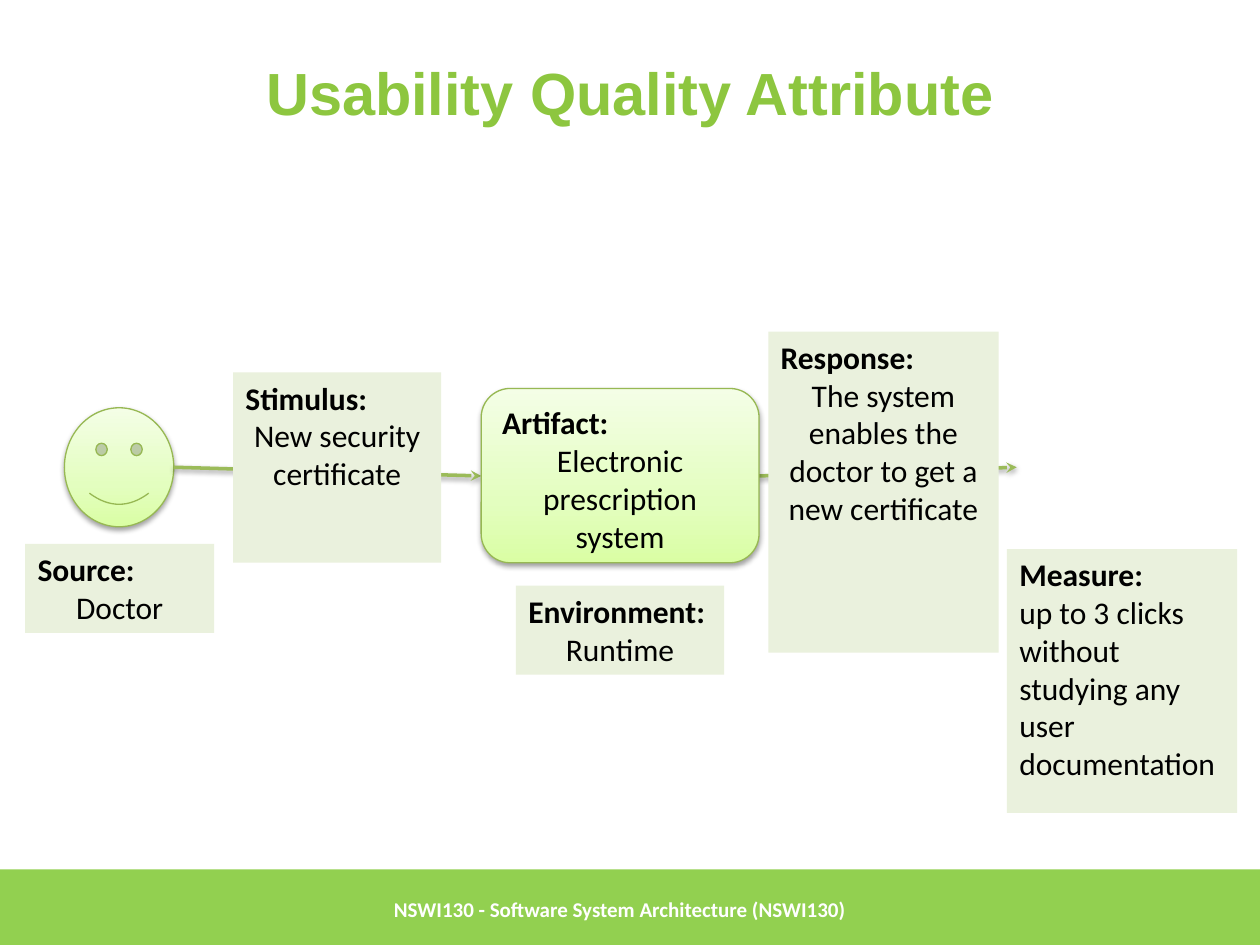
from copy import deepcopy

from lxml import etree
from pptx import Presentation
from pptx.dml.color import RGBColor
from pptx.enum import shapes, text
from pptx.oxml import parse_xml
from pptx.oxml.ns import nsdecls, qn
from pptx.util import Pt

WHITE = RGBColor(0xFF, 0xFF, 0xFF)
BLACK = RGBColor(0, 0, 0)
TITLE_GREEN = RGBColor(0x8D, 0xC6, 0x3F)
BAR_GREEN = RGBColor(0x92, 0xD0, 0x50)
PALE_GREEN = RGBColor(0xEA, 0xF1, 0xDD)
OUTLINE_GREEN = RGBColor(0x97, 0xB8, 0x53)
ARROW_GREEN = RGBColor(0x9B, 0xBB, 0x59)
GRADIENT = [
    (0, RGBColor(0xDA, 0xFE, 0xA4)),
    (0.35, RGBColor(0xE3, 0xFE, 0xBF)),
    (1, RGBColor(0xF4, 0xFE, 0xE6)),
]
SHADOW = (
    f'<a:effectLst {nsdecls("a")}><a:outerShdw blurRad="39370" dist="20320" dir="5400000" rotWithShape="0">'
    '<a:srgbClr val="000000"><a:alpha val="37000"/></a:srgbClr></a:outerShdw></a:effectLst>'
)


def add_shape(kind, box):
    shape = slide.shapes.add_shape(kind, *[Pt(length) for length in box])
    shape.shadow.inherit = False
    shape.line.fill.background()
    return shape


def style_raised(shape):
    shape.fill.gradient()
    shape.fill.gradient_angle = 90
    properties = shape._element.spPr
    stop_list = properties.find(".//" + qn("a:gsLst"))
    stop_list.insert(1, deepcopy(stop_list[0]))
    for stop, (position, color) in zip(shape.fill.gradient_stops, GRADIENT):
        stop.position = position
        stop.color.rgb = color
    shape.line.color.rgb = OUTLINE_GREEN
    shape.line.width = Pt(0.75)
    properties.replace(properties.find(qn("a:effectLst")), parse_xml(SHADOW))


presentation = Presentation()
presentation.slide_width, presentation.slide_height = Pt(720), Pt(540)
slide = presentation.slides.add_slide(presentation.slide_layouts[5])

title = slide.shapes.title
title.left, title.top, title.width, title.height = Pt(36), Pt(21.6), Pt(648), Pt(61.2)
title.text_frame.text = "Usability Quality Attribute"
title.text_frame.vertical_anchor = text.MSO_ANCHOR.MIDDLE
paragraph = title.text_frame.paragraphs[0]
paragraph.alignment = text.PP_ALIGN.CENTER
paragraph.font.name = "Arial"
paragraph.font.size = Pt(34)
paragraph.font.bold = True
paragraph.font.color.rgb = TITLE_GREEN

footer_bar = add_shape(shapes.MSO_SHAPE.RECTANGLE, (0, 496.8, 720, 45))
footer_bar.fill.solid()
footer_bar.fill.fore_color.rgb = BAR_GREEN

footer = slide.shapes.add_textbox(Pt(218), Pt(496.8), Pt(433.5), Pt(45))
footer.text_frame.word_wrap = True
footer.text_frame.vertical_anchor = text.MSO_ANCHOR.MIDDLE
footer.text_frame.text = "NSWI130 - Software System Architecture (NSWI130)"
paragraph = footer.text_frame.paragraphs[0]
paragraph.font.name = "Calibri"
paragraph.font.size = Pt(12)
paragraph.font.bold = True
paragraph.font.color.rgb = WHITE

smiley = add_shape(shapes.MSO_SHAPE.SMILEY_FACE, (36.8, 233, 62.5, 68))
style_raised(smiley)

for start_x, start_y, end_x, end_y in [(99.3, 267, 275, 272), (433.6, 272, 581, 267)]:
    arrow = slide.shapes.add_connector(
        shapes.MSO_CONNECTOR.STRAIGHT, Pt(start_x), Pt(start_y), Pt(end_x), Pt(end_y)
    )
    arrow.line.color.rgb = ARROW_GREEN
    arrow.line.width = Pt(2)
    etree.SubElement(arrow.line._get_or_add_ln(), qn("a:tailEnd"), type="stealth")
    arrow._element.spPr.append(parse_xml(SHADOW))

CENTER, LEFT = text.PP_ALIGN.CENTER, text.PP_ALIGN.LEFT
parts = [
    ("Source:", "Doctor", (14.4, 310.8, 108, 50.9), CENTER),
    ("Artifact:", "Electronic prescription system", (275, 222, 158.8, 99.6), CENTER),
    ("Stimulus:", "New security certificate", (133.2, 212.8, 119, 108.8), CENTER),
    ("Environment:", "Runtime", (294.8, 334.6, 119, 50.9), CENTER),
    ("Response:", "The system enables the doctor to get a new certificate", (439, 189.5, 131.6, 183.5), CENTER),
    ("Measure:", "up to 3 clicks without studying any user documentation", (575.4, 313.8, 131.6, 150.8), LEFT),
]
for heading, description, box, alignment in parts:
    if heading == "Artifact:":
        shape = add_shape(shapes.MSO_SHAPE.ROUNDED_RECTANGLE, box)
        style_raised(shape)
    else:
        shape = add_shape(shapes.MSO_SHAPE.RECTANGLE, box)
        shape.fill.solid()
        shape.fill.fore_color.rgb = PALE_GREEN
    frame = shape.text_frame
    frame.word_wrap = True
    frame.vertical_anchor = text.MSO_ANCHOR.TOP
    frame.text = f"{heading}\n{description}"
    for paragraph, bold, align in zip(frame.paragraphs, (True, False), (LEFT, alignment)):
        paragraph.alignment = align
        paragraph.font.name = "Calibri"
        paragraph.font.size = Pt(18)
        paragraph.font.bold = bold
        paragraph.font.color.rgb = BLACK

presentation.save("out.pptx")
